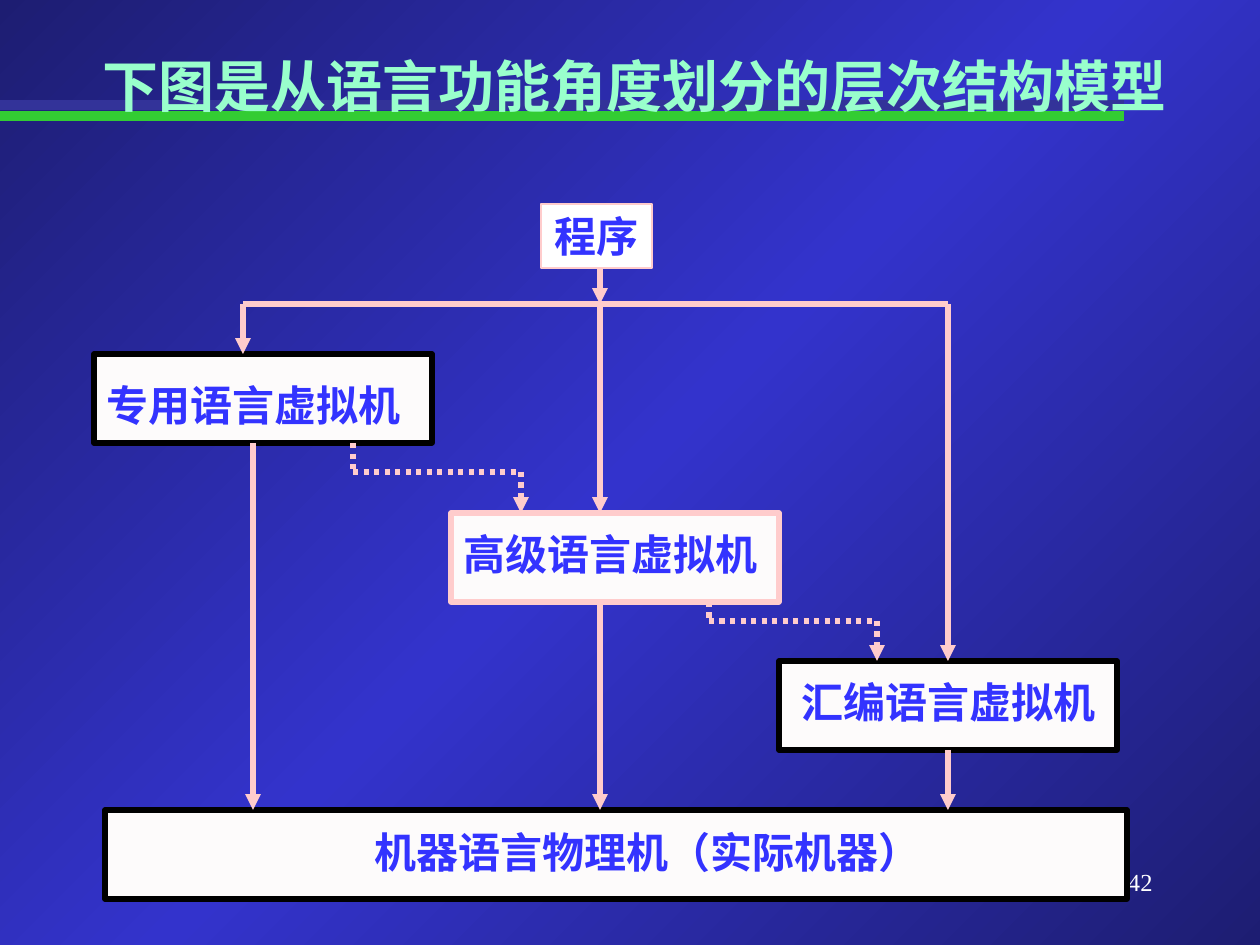
from copy import deepcopy
from dataclasses import dataclass
from itertools import pairwise

from lxml import etree
from pptx import Presentation
from pptx.dml.color import RGBColor
from pptx.enum.dml import MSO_LINE
from pptx.enum.shapes import MSO_CONNECTOR, MSO_SHAPE
from pptx.enum.text import MSO_ANCHOR, MSO_AUTO_SIZE, PP_ALIGN
from pptx.oxml.ns import qn
from pptx.util import Pt

RECTANGLE = MSO_SHAPE.RECTANGLE
STRAIGHT = MSO_CONNECTOR.STRAIGHT
DOTTED = MSO_LINE.ROUND_DOT
LEFT, CENTER, RIGHT = PP_ALIGN.LEFT, PP_ALIGN.CENTER, PP_ALIGN.RIGHT
TOP, MIDDLE = MSO_ANCHOR.TOP, MSO_ANCHOR.MIDDLE
NO_AUTOFIT = MSO_AUTO_SIZE.NONE
TOP_SIDE, BOTTOM_SIDE = 0, 2
EMU_PER_PX = 914400 / 126


@dataclass(frozen=True)
class Theme:
    edge: str = "1D1D72"
    glow: str = "3333CC"
    rule: str = "33CC33"
    shade: str = "333399"
    title: str = "99FFCC"
    label: str = "3333FF"
    panel: str = "FDFBFB"
    white: str = "FFFFFF"
    black: str = "000000"
    pink: str = "FFCCCC"
    latin: str = "Times New Roman"
    chinese: str = "Noto Sans CJK SC"
    title_size: int = 32
    label_size: int = 24
    number_size: int = 14
    rule_width: float = 5.5
    line_width: float = 3
    thin_width: float = 0.75


THEME = Theme()


def px(value):
    return round(value * EMU_PER_PX)


def color(value):
    return RGBColor.from_string(value)


def write_text(shape, text, *, size, ink, font=THEME.latin, bold=True,
               align=LEFT, anchor=MIDDLE, wrap=True):
    frame = shape.text_frame
    frame.auto_size = NO_AUTOFIT
    frame.word_wrap = wrap
    frame.vertical_anchor = anchor
    paragraph = frame.paragraphs[0]
    paragraph.alignment = align
    run = paragraph.add_run()
    run.text = text
    run.font.size = Pt(size)
    run.font.bold = bold
    run.font.color.rgb = color(ink)
    run.font.name = font
    east_asian = etree.SubElement(run.font._element, qn("a:ea"))
    east_asian.set("typeface", THEME.chinese)


def add_text(slide, box, text, **text_format):
    text_box = slide.shapes.add_textbox(*map(px, box))
    write_text(text_box, text, **text_format)


def add_panel(slide, box, fill, outline, width):
    shape = slide.shapes.add_shape(RECTANGLE, *map(px, box))
    shape.shadow.inherit = False
    shape.fill.solid()
    shape.fill.fore_color.rgb = color(fill)
    shape.line.color.rgb = color(outline)
    shape.line.width = Pt(width)
    return shape


def add_line(slide, start, end, ink, width, dash=None, arrow=False):
    connector = slide.shapes.add_connector(STRAIGHT, *map(px, start + end))
    connector.line.color.rgb = color(ink)
    connector.line.width = Pt(width)
    if dash:
        connector.line.dash_style = dash
    if arrow:
        line = connector.line._get_or_add_ln()
        etree.SubElement(line, qn("a:tailEnd"), type="triangle")
    etree.SubElement(connector._element.spPr, qn("a:effectLst"))
    return connector


def add_background(slide):
    fill = slide.background.fill
    fill.gradient()
    fill.gradient_angle = 315
    for stop in fill.gradient_stops:
        stop.color.rgb = color(THEME.edge)
    first_stop = slide._element.find(f".//{qn('a:gs')}")
    first_stop.addnext(deepcopy(first_stop))
    for stop, position in zip(fill.gradient_stops, (0, 0.5, 1)):
        stop.position = position
    fill.gradient_stops[1].color.rgb = color(THEME.glow)


def add_header(slide, box, text):
    left, top, width, height = box
    for offset, ink in ((60, THEME.shade), (71, THEME.rule)):
        add_line(slide, (left, top + offset), (left + 1124, top + offset),
                 ink, THEME.rule_width)
    title = slide.shapes.title
    title.left, title.top = px(left + 90), px(top)
    title.width, title.height = px(width - 90), px(height)
    write_text(title, text, size=THEME.title_size, ink=THEME.title)
    slide.shapes._spTree.append(title._element)


def add_layer(slide, box, text, label_offset, label_width, outline):
    left, top, width, height = box
    panel = add_panel(slide, box, THEME.panel, outline, THEME.line_width)
    shift_x, shift_y = label_offset
    add_text(slide, (left + shift_x, top + shift_y, label_width, 63), text,
             size=THEME.label_size, ink=THEME.label, font=THEME.chinese)
    return panel


def add_route(slide, points, dash=None):
    for start, end in pairwise(points):
        connector = add_line(slide, start, end, THEME.pink, THEME.line_width,
                             dash, arrow=end == points[-1])
    return connector


def add_diagram(slide, box):
    left, top, width, _ = box

    def place(x, y):
        return left + x, top + y

    special_x, special_down_x, center_x, assembly_x = 149, 159, 506, 854
    branch_y, special_y, advanced_y, assembly_y, machine_y = 100, 150, 309, 457, 606
    layer_height = 89
    layers = (
        (0, special_y, 338, "专用语言虚拟机", (0, 19), 330, THEME.black),
        (357, advanced_y, 328, "高级语言虚拟机", (0, 9), 338, THEME.pink),
        (685, assembly_y, 338, "汇编语言虚拟机", (10, 9), 328, THEME.black),
        (11, machine_y, width - 1, "机器语言物理机（实际机器）", (257, 10), 576, THEME.black),
    )
    panels = [
        add_layer(slide, (*place(x, y), layer_width, layer_height), *label)
        for x, y, layer_width, *label in layers
    ]
    assembly = panels[2]

    routes = (
        ((center_x, 61), (center_x, branch_y)),
        ((center_x, branch_y), (center_x, advanced_y)),
        ((center_x, advanced_y + layer_height), (center_x, machine_y)),
        ((special_x, branch_y), (special_x, special_y)),
        ((special_down_x, special_y + layer_height), (special_down_x, machine_y)),
    )
    for points in routes:
        add_route(slide, [place(*point) for point in points])

    branch = [(special_x, branch_y), (assembly_x, branch_y), (assembly_x, assembly_y)]
    add_route(slide, [place(*point) for point in branch]).end_connect(assembly, TOP_SIDE)
    descent = [(assembly_x, assembly_y + layer_height), (assembly_x, machine_y)]
    add_route(slide, [place(*point) for point in descent]).begin_connect(assembly, BOTTOM_SIDE)

    for x, start_y, turn_y, end_y in (
        (259, special_y + layer_height, 268, advanced_y),
        (615, advanced_y + layer_height, 417, assembly_y),
    ):
        step = [(x, start_y), (x, turn_y), (x + 168, turn_y), (x + 168, end_y)]
        add_route(slide, [place(*point) for point in step], DOTTED)

    program = add_panel(slide, (*place(447, 0), 111, 64), THEME.white, THEME.pink,
                        THEME.thin_width)
    write_text(program, "程序", size=THEME.label_size, ink=THEME.label,
               align=CENTER, wrap=False)


def main():
    presentation = Presentation()
    presentation.slide_width, presentation.slide_height = px(1260), px(945)
    slide = presentation.slides.add_slide(presentation.slide_layouts[5])
    add_background(slide)
    add_header(slide, (0, 45, 1206, 80), "下图是从语言功能角度划分的层次结构模型")
    add_text(slide, (903, 861, 262, 63), "42", size=THEME.number_size,
             ink=THEME.white, bold=False, align=RIGHT, anchor=TOP)
    add_diagram(slide, (94, 204, 1023, 695))
    presentation.save("out.pptx")


if __name__ == "__main__":
    main()
